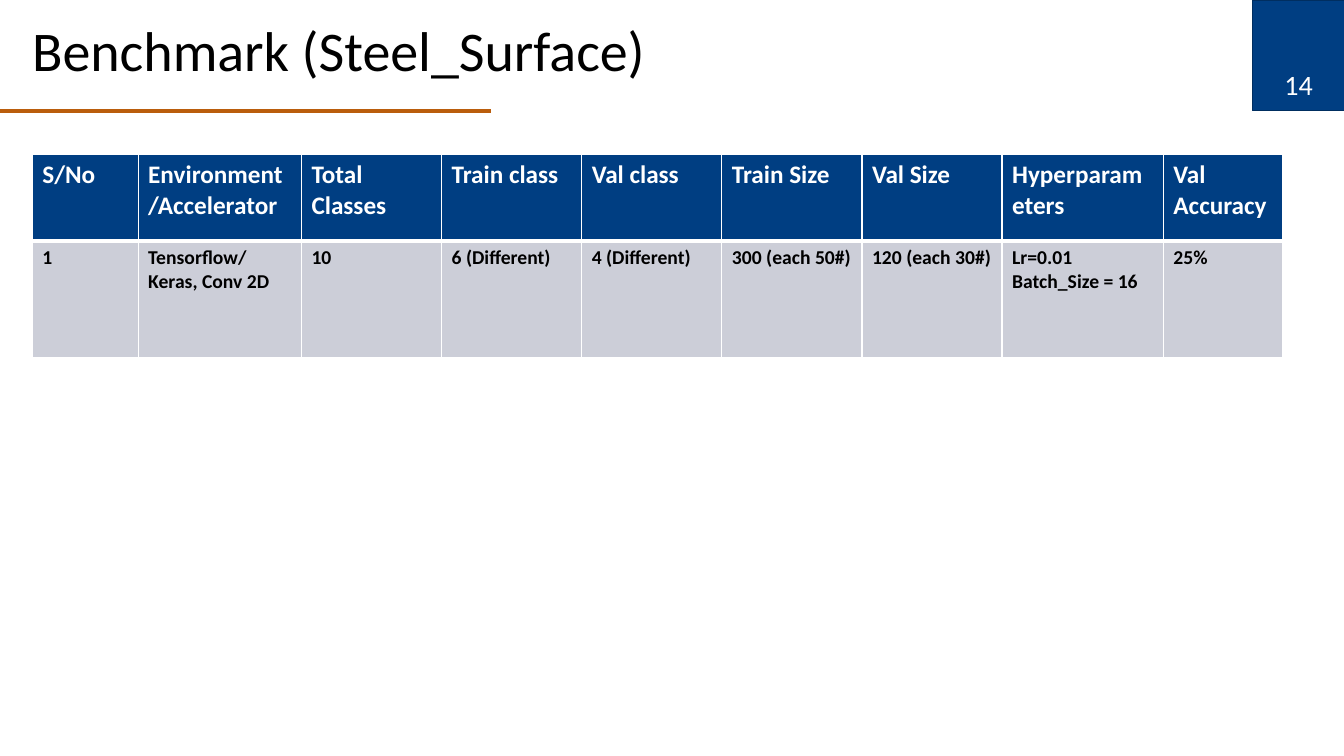
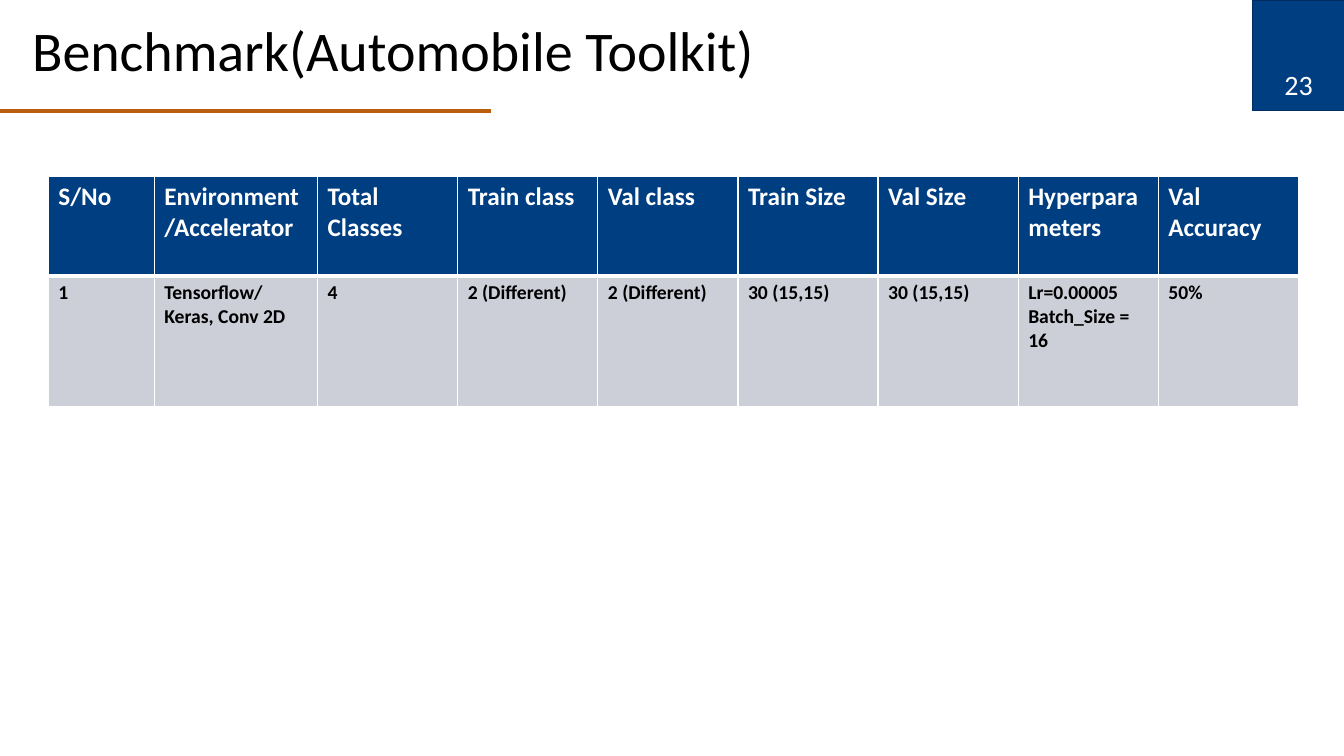
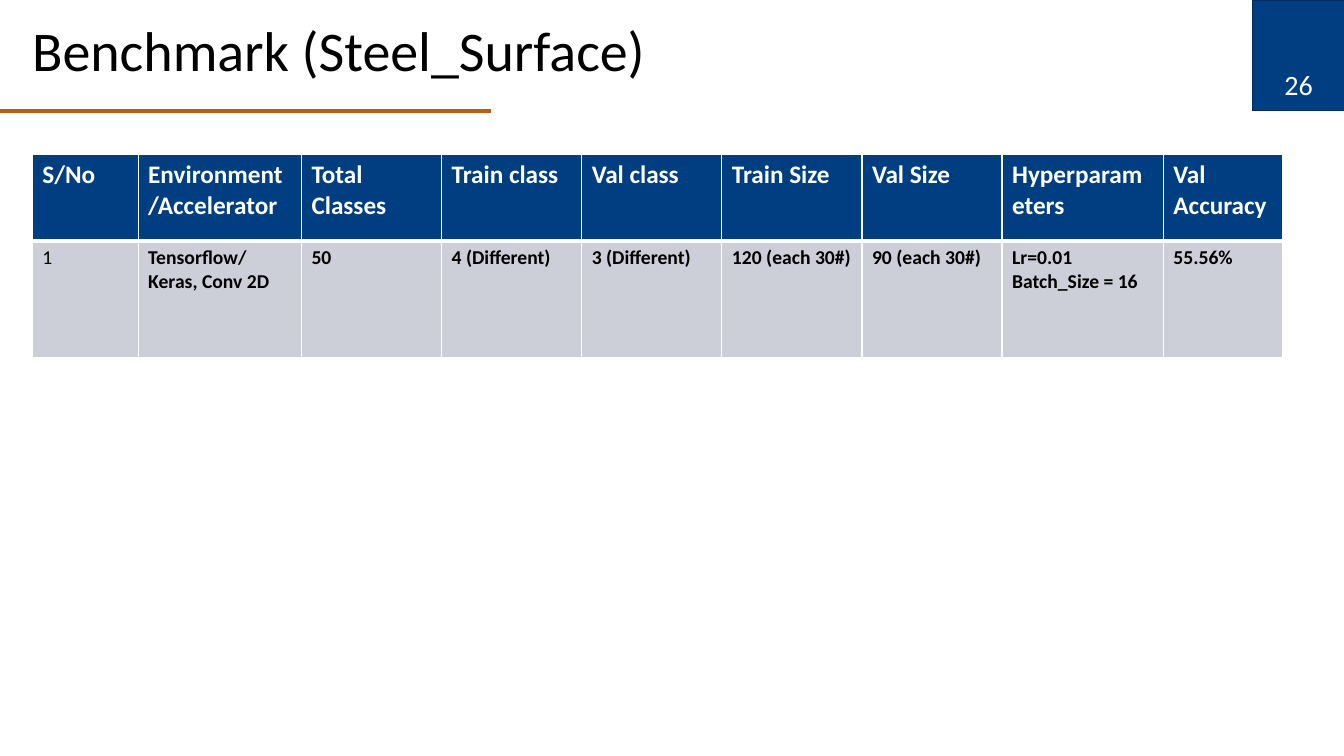
from lxml.etree import SubElement
from pptx import Presentation
from pptx.dml.color import RGBColor
from pptx.enum.shapes import MSO_CONNECTOR, MSO_SHAPE
from pptx.enum.text import MSO_ANCHOR as Anchor, PP_ALIGN as Align
from pptx.oxml.ns import qn
from pptx.util import Inches, Pt

COLORS = {"navy": "003E82", "navy_edge": "002E60", "orange": "BA5D0C",
          "body": "CCCED8", "white": "FFFFFF", "black": "000000"}
FONT = "Calibri"

HEADINGS = ["S/No", "Environment/Accelerator", "Total Classes", "Train class",
            "Val class", "Train Size", "Val Size", "Hyperparameters", "Val Accuracy"]
ENVIRONMENT = "Tensorflow/Keras, Conv 2D"
FIRST_WIDTHS = [1.05, 1.62] + [1.39] * 5
STEEL_TABLE = {"left": 0.32, "top": 1.53, "heights": [0.86, 1.16],
               "widths": FIRST_WIDTHS + [1.6, 1.18]}
TOOLKIT_TABLE = {"left": 0.48, "top": 1.75, "heights": [0.99, 1.29],
                 "widths": FIRST_WIDTHS + [1.39, 1.39]}

BENCHMARKS = [
    {"title": "Benchmark (Steel_Surface)", "number": "14",
     "layout": STEEL_TABLE, "bold_index": True,
     "results": ["1", ENVIRONMENT, "10", "6 (Different)", "4 (Different)",
                 "300 (each 50#)", "120 (each 30#)",
                 "Lr=0.01\nBatch_Size = 16", "25%"]},
    {"title": "Benchmark(Automobile Toolkit)", "number": "23",
     "layout": TOOLKIT_TABLE, "bold_index": True,
     "results": ["1", ENVIRONMENT, "4", "2 (Different)", "2 (Different)",
                 "30 (15,15)", "30 (15,15)",
                 "Lr=0.00005\nBatch_Size = 16", "50%"]},
    {"title": "Benchmark (Steel_Surface)", "number": "26",
     "layout": STEEL_TABLE, "bold_index": False,
     "results": ["1", ENVIRONMENT, "50", "4 (Different)", "3 (Different)",
                 "120 (each 30#)", "90 (each 30#)",
                 "Lr=0.01\nBatch_Size = 16", "55.56%"]},
]


def rgb(name):
    """Return the named colour."""
    return RGBColor.from_string(COLORS[name])


def write(frame, text, size, color, bold=False):
    """Fill a text frame and format all its runs."""
    frame.text = text
    for paragraph in frame.paragraphs:
        for run in paragraph.runs:
            run.font.name = FONT
            run.font.size = Pt(size)
            run.font.bold = bold
            run.font.color.rgb = rgb(color)


def add_label(slide, box, text, size, color):
    """Add a vertically centred text box and return its paragraph."""
    frame = slide.shapes.add_textbox(*map(Inches, box)).text_frame
    frame.word_wrap = True
    frame.vertical_anchor = Anchor.MIDDLE
    write(frame, text, size, color)
    return frame.paragraphs[0]


def add_frame(slide, title, number):
    """Add the rule, corner band, title and number every slide shares."""
    rule = slide.shapes.add_connector(
        MSO_CONNECTOR.STRAIGHT, *map(Inches, (-0.01, 1.1, 4.87, 1.1)))
    rule.line.color.rgb = rgb("orange")
    rule.line.width = Pt(3)
    SubElement(rule.element.spPr, qn("a:effectLst"))

    band = slide.shapes.add_shape(
        MSO_SHAPE.RECTANGLE, *map(Inches, (12.42, 0, 0.92, 1.1)))
    band.shadow.inherit = False
    band.fill.solid()
    band.fill.fore_color.rgb = rgb("navy")
    band.line.color.rgb = rgb("navy_edge")
    band.line.width = Pt(1)

    add_label(slide, (0.22, 0, 12.19, 1.06), title, 40, "black").line_spacing = 0.9
    add_label(slide, (12.42, 0.57, 0.92, 0.53), number, 20, "white").alignment = Align.CENTER


def style_cell(cell, fill, top, bottom):
    """Give a cell white borders (points) and a solid fill."""
    properties = cell._tc.get_or_add_tcPr()
    for side, width in (("L", 1), ("R", 1), ("T", top), ("B", bottom)):
        border = SubElement(properties, qn(f"a:ln{side}"), w=str(Pt(width)))
        solid = SubElement(border, qn("a:solidFill"))
        SubElement(solid, qn("a:srgbClr"), val=COLORS["white"])
    cell.fill.solid()
    cell.fill.fore_color.rgb = rgb(fill)


def add_results(slide, layout, results, bold_index):
    """Add the benchmark table: a heading row and a result row."""
    widths, heights = layout["widths"], layout["heights"]
    table = slide.shapes.add_table(
        2, len(HEADINGS), Inches(layout["left"]), Inches(layout["top"]),
        Inches(sum(widths)), Inches(sum(heights))).table
    for row, height in zip(table.rows, heights):
        row.height = Inches(height)
    for col, width in enumerate(widths):
        table.columns[col].width = Inches(width)
        heading, result = table.cell(0, col), table.cell(1, col)
        style_cell(heading, "navy", 1, 3)
        style_cell(result, "body", 3, 1)
        write(heading.text_frame, HEADINGS[col], 18, "white", True)
        write(result.text_frame, results[col], 14, "black", col > 0 or bold_index)


deck = Presentation()
deck.slide_width, deck.slide_height = Inches(13.33), Inches(7.5)
for benchmark in BENCHMARKS:
    slide = deck.slides.add_slide(deck.slide_layouts[6])
    add_frame(slide, benchmark["title"], benchmark["number"])
    add_results(slide, benchmark["layout"], benchmark["results"], benchmark["bold_index"])
deck.save("out.pptx")
